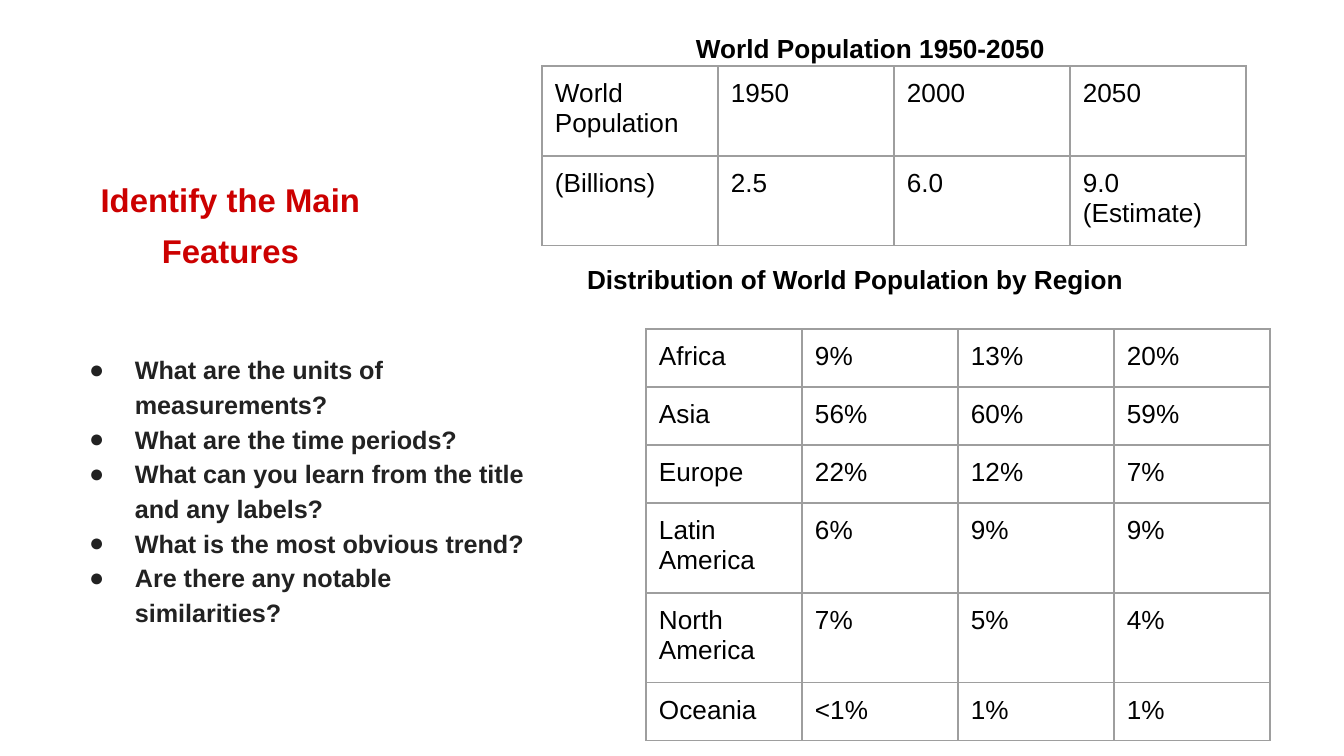
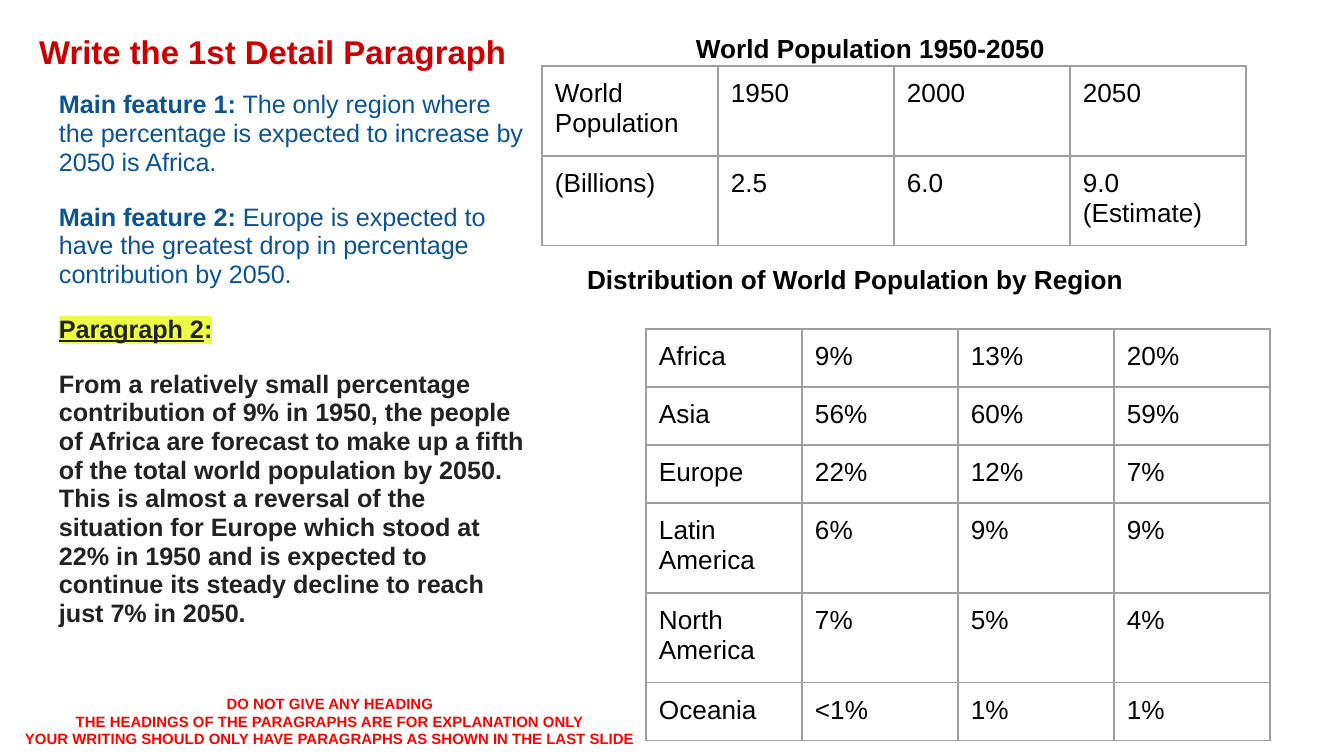
"""Two slides on describing world population tables."""
import pptx
import pptx.dml.color
import pptx.enum.text
import pptx.oxml
import pptx.oxml.ns
import pptx.util
from lxml import etree

SCALE = 9144000 / 1344
FONT = "Arial"
INSET = 13
COLORS = {"title": "CC0000", "body": "222222", "feature": "0B5394", "table": "000000",
          "border": "9E9E9E", "marker": "EEFF41", "warning": "FF0000"}
ANCHOR = pptx.enum.text.MSO_ANCHOR
SIZING = pptx.enum.text.MSO_AUTO_SIZE
CENTER = pptx.enum.text.PP_ALIGN.CENTER

QUESTIONS = ["What are the units of measurements?", "What are the time periods?",
             "What can you learn from the title and any labels?",
             "What is the most obvious trend?", "Are there any notable similarities?"]
FEATURES = [
    ("Main feature 1:", " The only region where the percentage is expected to increase by 2050 is Africa."),
    ("Main feature 2:", " Europe is expected to have the greatest drop in percentage contribution by 2050."),
]
DETAIL = ("From a relatively small percentage contribution of 9% in 1950, the people of Africa "
          "are forecast to make up a fifth of the total world population by 2050. This is almost "
          "a reversal of the situation for Europe which stood at 22% in 1950 and is expected to "
          "continue its steady decline to reach just 7% in 2050.")
WARNINGS = ["DO NOT GIVE ANY HEADING",
            "THE HEADINGS OF THE PARAGRAPHS ARE FOR EXPLANATION ONLY",
            "YOUR WRITING SHOULD ONLY HAVE PARAGRAPHS AS SHOWN IN THE LAST SLIDE"]
TOTALS = [["World Population", "1950", "2000", "2050"],
          ["(Billions)", "2.5", "6.0", "9.0 (Estimate)"]]
REGIONS = [["Africa", "9%", "13%", "20%"], ["Asia", "56%", "60%", "59%"],
           ["Europe", "22%", "12%", "7%"], ["Latin America", "6%", "9%", "9%"],
           ["North America", "7%", "5%", "4%"], ["Oceania", "<1%", "1%", "1%"]]


def px(length):
    """Turn px into EMU."""
    return pptx.util.Emu(round(length * SCALE))


def add_xml(parent, tag, **attributes):
    """Append a DrawingML element."""
    return etree.SubElement(parent, pptx.oxml.ns.qn("a:" + tag), attributes)


def add_color(parent, color):
    """Append an RGB colour element."""
    add_xml(parent, "srgbClr", val=COLORS[color])


def style_font(font, size, color, bold=False):
    """Set typeface, size, colour and weight."""
    font.name = FONT
    font.size = pptx.util.Pt(size)
    font.bold = bold
    font.color.rgb = pptx.dml.color.RGBColor.from_string(COLORS[color])


def space(para, lines, before=0):
    """Set line spacing and space before a paragraph."""
    para.line_spacing = lines
    para.space_before = pptx.util.Pt(before)
    para.space_after = pptx.util.Pt(0)


def indent(para, margin, first=0, bullet=None):
    """Set paragraph indents and its bullet."""
    properties = para._p.get_or_add_pPr()
    properties.set("marL", str(px(margin)))
    properties.set("indent", str(px(first)))
    if bullet:
        add_color(add_xml(properties, "buClr"), "body")
        add_xml(properties, "buFont", typeface=FONT)
        add_xml(properties, "buChar", char=bullet)
    else:
        add_xml(properties, "buNone")


def set_frame(box, inset=INSET, anchor=ANCHOR.TOP, sizing=SIZING.NONE):
    """Set wrapping, insets, anchor and sizing of a text frame."""
    frame = box.text_frame
    frame.word_wrap = True
    frame.auto_size = sizing
    frame.vertical_anchor = anchor
    frame.margin_left = frame.margin_right = px(INSET)
    frame.margin_top = frame.margin_bottom = px(inset)
    return frame


def place(box, left, top, width, height):
    """Move and size a placeholder and return its frame."""
    box.left, box.top, box.width, box.height = map(px, (left, top, width, height))
    return set_frame(box)


def add_paragraph(frame, *texts):
    """Add a paragraph with one run per text, using the empty first one."""
    para = frame.paragraphs[0]
    if para.runs:
        para = frame.add_paragraph()
    for text in texts:
        para.add_run().text = text
    return para


def add_title(page, text, left, top, width):
    """Fill the title placeholder."""
    para = add_paragraph(place(page.shapes.title, left, top, width, 85), text)
    indent(para, 4)
    space(para, 1.3)
    para.alignment = CENTER
    style_font(para.font, 17.6, "title", True)


def add_questions(page):
    """Fill the body placeholder with bulleted questions."""
    frame = place(page.placeholders[1], 55, 337, 496, 571)
    for question in QUESTIONS:
        para = add_paragraph(frame, question)
        indent(para, 67, -46, "●")
        space(para, 1.15)
        style_font(para.font, 13.5, "body", True)


def add_answer(page):
    """Fill the body placeholder with features and the sample paragraph."""
    frame = place(page.placeholders[1], 46, 78, 496, 571)
    rows = [(texts, "feature") for texts in FEATURES]
    rows += [(("Paragraph 2", ":"), "body"), ((DETAIL,), "body")]
    for number, (texts, color) in enumerate(rows):
        para = add_paragraph(frame, *texts)
        indent(para, 0)
        space(para, 0.95, 14 if number else 0)
        style_font(para.font, 13.5, color, True)
        if color == "feature":
            para.runs[1].font.bold = False
    heading = frame.paragraphs[2]
    heading.runs[0].font.underline = True
    for span in heading.runs:
        add_color(add_xml(span._r.get_or_add_rPr(), "highlight"), "marker")


def add_caption(page, text, left, top, width):
    """Add a bold table caption."""
    box = page.shapes.add_textbox(px(left), px(top), px(width), px(59))
    para = add_paragraph(set_frame(box, sizing=SIZING.SHAPE_TO_FIT_TEXT), text)
    style_font(para.font, 14, "table", True)


def add_borders(cell):
    """Draw thin grey lines on all four sides of a cell."""
    properties = cell._tc.get_or_add_tcPr()
    for side in ("lnL", "lnR", "lnT", "lnB"):
        line = add_xml(properties, side, w=str(pptx.util.Pt(0.75)))
        add_color(add_xml(line, "solidFill"), "border")


def add_grid(page, rows, left, top, column, heights):
    """Add a plain bordered table."""
    count = len(rows[0])
    table = page.shapes.add_table(len(rows), count, px(left), px(top),
                                  px(column * count), px(sum(heights))).table
    table.first_row = table.horz_banding = False
    for table_column in table.columns:
        table_column.width = px(column)
    for table_row, height, texts in zip(table.rows, heights, rows):
        table_row.height = px(height)
        for cell, text in zip(table_row.cells, texts):
            cell.margin_left = cell.margin_right = px(INSET)
            cell.margin_top = cell.margin_bottom = px(INSET)
            add_borders(cell)
            cell.fill.background()
            para = add_paragraph(cell.text_frame, text)
            style_font(para.font, 14, "table")


def add_population_tables(page):
    """Add both captioned tables shared by the slides."""
    add_caption(page, "World Population 1950-2050", 683, 19, 396)
    add_grid(page, TOTALS, 542, 66, 176, [90, 90])
    add_caption(page, "Distribution of World Population by Region", 574, 250, 582)
    heights = [90 if " " in row[0] else 58 for row in REGIONS]
    add_grid(page, REGIONS, 646, 329, 156, heights)


def add_warning(page):
    """Add the red note at the foot of the slide."""
    box = page.shapes.add_textbox(px(-31), px(669), px(722), px(86))
    frame = set_frame(box, inset=7, anchor=ANCHOR.BOTTOM)
    for text in WARNINGS:
        para = add_paragraph(frame, text)
        para.alignment = CENTER
        style_font(para.font, 8, "warning", True)


def main():
    """Build and save the deck."""
    deck = pptx.Presentation()
    deck.slide_width, deck.slide_height = px(1344), px(756)
    layout = deck.slide_layouts[1]

    page = deck.slides.add_slide(layout)
    add_title(page, "Identify the Main Features", 55, 155, 347)
    add_questions(page)
    add_population_tables(page)

    page = deck.slides.add_slide(layout)
    add_title(page, "Write the 1st Detail Paragraph", 0, 7, 542)
    add_answer(page)
    add_population_tables(page)
    add_warning(page)

    deck.save("out.pptx")


if __name__ == "__main__":
    main()
